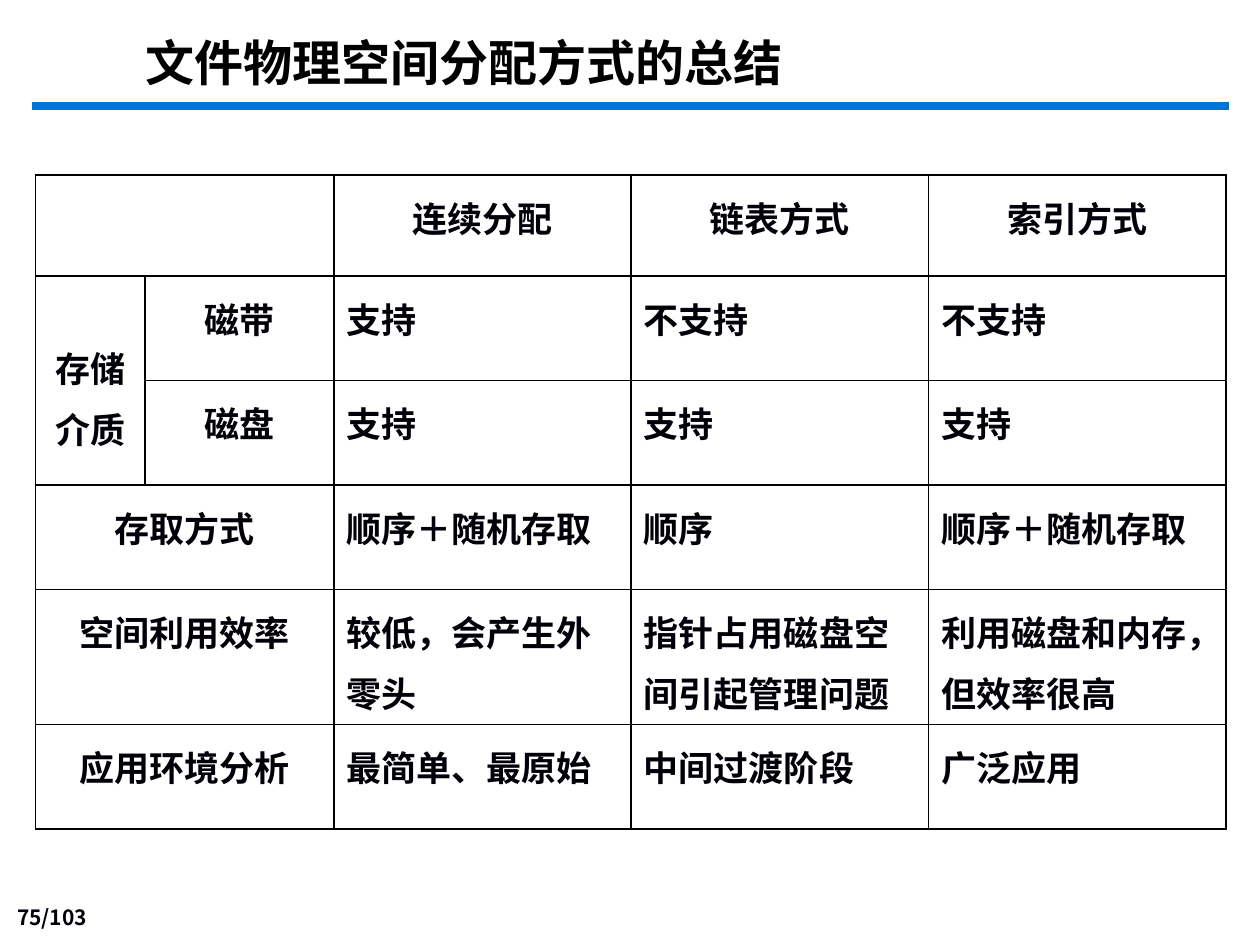
from lxml.etree import SubElement
from pptx import Presentation
from pptx.dml.color import RGBColor
from pptx.enum.lang import MSO_LANGUAGE_ID as Language
from pptx.enum.shapes import MSO_CONNECTOR as Connector
from pptx.enum.text import MSO_ANCHOR as Anchor, PP_ALIGN as Align
from pptx.oxml.ns import qn
from pptx.util import Inches, Pt


def color(value):
    return RGBColor.from_string(value)


def write(paragraph, text, size, font_name, font_color, **layout):
    for name, value in layout.items():
        setattr(paragraph, name, value)
    run = paragraph.add_run()
    run.text = text
    run.font.color.rgb = color(font_color)
    font_format = {"size": Pt(size), "name": font_name, "bold": True,
                   "language_id": Language.SIMPLIFIED_CHINESE}
    for name, value in font_format.items():
        setattr(run.font, name, value)
    SubElement(run.font._element, qn("a:ea"), typeface="Noto Sans CJK JP")


presentation = Presentation()
presentation.slide_width = Inches(10)
presentation.slide_height = Inches(7.5)
slide = presentation.slides.add_slide(presentation.slide_layouts[6])

rule = slide.shapes.add_connector(
    Connector.STRAIGHT, Inches(0.25), Inches(0.84), Inches(9.75), Inches(0.84))
rule.line.color.rgb = color("0574D0")
rule.line.width = Pt(4.5)
SubElement(rule._element.spPr, qn("a:effectLst"))

text_boxes = [
    ((0, 7.14, 0.79, 0.29), "75/103", 12, "Noto Sans CJK JP", "000008", Align.RIGHT,
     {"vertical_anchor": Anchor.BOTTOM, "word_wrap": True}),
    ((1.06, 0.21, 6.1, 0.79), "文件物理空间分配方式的总结", 28, "Lato", "000000", Align.LEFT,
     {"vertical_anchor": Anchor.TOP, "word_wrap": True}),
]
for box, text, size, font_name, font_color, alignment, frame_format in text_boxes:
    frame = slide.shapes.add_textbox(*map(Inches, box)).text_frame
    for name, value in frame_format.items():
        setattr(frame, name, value)
    write(frame.paragraphs[0], text, size, font_name, font_color, alignment=alignment)

rows = [
    ["", "", "连续分配", "链表方式", "索引方式"],
    ["存储介质", "磁带", "支持", "不支持", "不支持"],
    ["", "磁盘", "支持", "支持", "支持"],
    ["存取方式", "", "顺序＋随机存取", "顺序", "顺序＋随机存取"],
    ["空间利用效率", "", "较低，会产生外零头", "指针占用磁盘空间引起管理问题", "利用磁盘和内存，但效率很高"],
    ["应用环境分析", "", "最简单、最原始", "中间过渡阶段", "广泛应用"],
]
column_widths = [0.87, 1.5, 2.36, 2.36, 2.36]
row_heights = [0.8, 0.83, 0.83, 0.83, 1.07, 0.83]

table_shape = slide.shapes.add_table(
    len(rows), len(column_widths), Inches(0.28), Inches(1.39),
    Inches(sum(column_widths)), Inches(sum(row_heights)))
table = table_shape.table
table.first_row = False
table.horz_banding = False
for column, width in zip(table.columns, column_widths):
    column.width = Inches(width)
for row, height in zip(table.rows, row_heights):
    row.height = Inches(height)

for row_index, texts in enumerate(rows):
    for column_index, text in enumerate(texts):
        cell = table.cell(row_index, column_index)
        properties = cell._tc.get_or_add_tcPr()
        for side in ("a:lnL", "a:lnR", "a:lnT", "a:lnB"):
            border = SubElement(properties, qn(side), w=str(Pt(1)))
            border_fill = SubElement(border, qn("a:solidFill"))
            SubElement(border_fill, qn("a:srgbClr"), val="000000")
        cell.fill.background()
        if text:
            is_heading = row_index == 0 or column_index < 2
            write(cell.text_frame.paragraphs[0], text, 20, "Lato", "000008",
                  alignment=Align.CENTER if is_heading else Align.LEFT,
                  line_spacing=1.2, space_before=Pt(4))

for row_index in (0, 3, 4, 5):
    table.cell(row_index, 0).merge(table.cell(row_index, 1))
storage_cell = table.cell(1, 0)
storage_cell.merge(table.cell(2, 0))
storage_cell.margin_top = Inches(0.44)

presentation.save("out.pptx")
